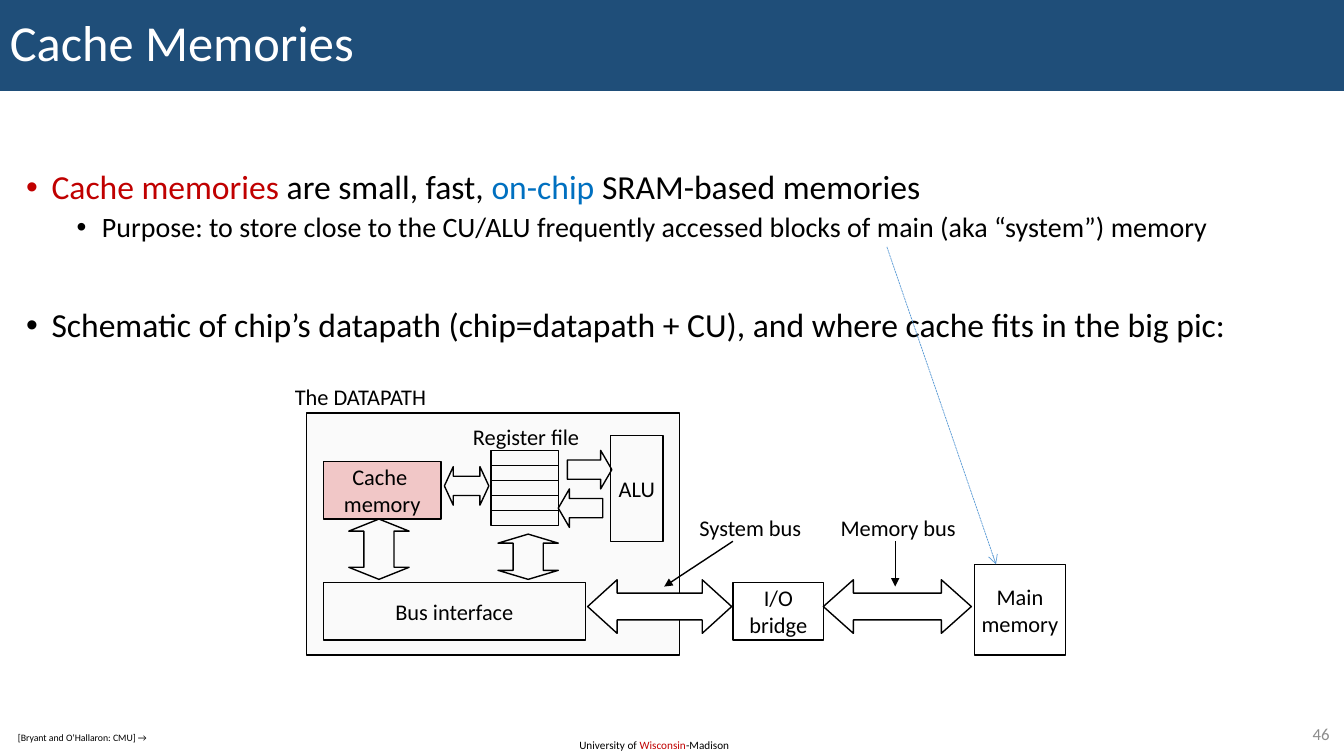
from lxml import etree
from pptx import Presentation
from pptx import util as u
from pptx.dml.color import RGBColor
from pptx.enum import dml, shapes, text
from pptx.oxml.ns import qn

G = shapes.MSO_SHAPE
BLACK, WHITE, RED = "000000", "FFFFFF", "C00000"
MID, TOP = text.MSO_ANCHOR.MIDDLE, text.MSO_ANCHOR.TOP
LEFT, CENTER, RIGHT = text.PP_ALIGN.LEFT, text.PP_ALIGN.CENTER, text.PP_ALIGN.RIGHT

TITLE = "Cache Memories"
BULLETS = [
    (0, 0, 24, [("Cache memories ", RED), ("are small, fast, ", BLACK),
                ("on-chip", "0070C0"), (" SRAM-based memories", BLACK)]),
    (1, 5, 20, [("Purpose: to store close to the CU/ALU frequently accessed blocks "
                 "of main (aka “system”) memory", BLACK)]),
    (0, 46, 24, [("Schematic of chip’s datapath (chip=datapath + CU), and where "
                  "cache fits in the big pic:", BLACK)]),
]
UNIVERSITY = [("University of ", BLACK), ("Wisconsin", RED), ("-Madison", BLACK)]
SOURCE = "[Bryant and O‘Hallaron: CMU] →"
PAGE = "46"

BOXES = [
    ((7.72, 10.41, 9.4, 6.1), "FAFAFA", []),
    ((24.56, 14.22, 2.29, 2.29), None, ["Main", "memory"]),
    ((18.47, 14.68, 2.29, 1.45), None, ["I/O", "bridge"]),
    ((8.15, 14.68, 6.6, 1.45), None, ["Bus interface"]),
    ((15.39, 10.97, 1.32, 2.67), None, ["ALU"]),
    ((8.15, 11.63, 2.97, 1.45), "F1C7C7", ["Cache ", "memory"]),
]
REGISTERS, REG_X, REG_Y, REG_W, REG_H = 5, 12.37, 11.35, 1.7, 0.38
ARROWS = [
    (G.LEFT_RIGHT_ARROW, (20.75, 14.61, 3.73, 1.35), 0.56, None, 0),
    (G.RIGHT_ARROW, (14.3, 11.35, 1.12, 0.97), 0.29, None, 0),
    (G.LEFT_ARROW, (14.07, 12.32, 1.12, 0.97), 0.29, None, 0),
    (G.LEFT_RIGHT_ARROW, (12.74, 13.27, 1.14, 1.52), 0.2, None, 90),
    (G.LEFT_RIGHT_ARROW, (8.79, 13.08, 1.52, 1.52), 0.2, None, 90),
    (G.LEFT_RIGHT_ARROW, (11.2, 11.76, 1.12, 0.97), 0.23, None, 0),
    (G.LEFT_RIGHT_ARROW, (14.81, 14.61, 3.63, 1.35), 0.55, WHITE, 0),
]
LABELS = [
    ("Register file", (11.61, 10.52, 3.3, 0.94)),
    ("The DATAPATH", (7.09, 9.53, 3.99, 0.94)),
    ("System bus", (17.32, 12.83, 3.18, 0.94)),
    ("Memory bus", (20.88, 12.83, 3.51, 0.94)),
]
POINTERS = [
    ((18.47, 13.64, 16.74, 14.78), BLACK, 1, None, "triangle"),
    ((22.56, 13.64, 22.56, 14.78), BLACK, 1, None, "triangle"),
    ((22.35, 6.22, 25.1, 14.22), "5B9BD5", 0.5, dml.MSO_LINE.SQUARE_DOT, "arrow"),
]

prs = Presentation()
prs.slide_width, prs.slide_height = u.Cm(33.87), u.Cm(19.05)
s = prs.slides.add_slide(prs.slide_layouts[6])


def cm(values):
    return [u.Cm(v) for v in values]


def rgb(value):
    return RGBColor.from_string(value)


def assign(obj, values):
    for name, value in values.items():
        setattr(obj, name, value)


def write(p, runs, size, **fmt):
    assign(p, fmt)
    for words, color in runs:
        r = p.add_run()
        r.text = words
        assign(r.font, {"name": "Calibri", "size": u.Pt(size)})
        r.font.color.rgb = rgb(color)


def fill_text(sp, lines, size, align=LEFT, anchor=MID, wrap=True, spacing=None):
    tf = sp.text_frame
    assign(tf, {"word_wrap": wrap, "vertical_anchor": anchor})
    for i, runs in enumerate(lines):
        p = tf.add_paragraph() if i else tf.paragraphs[0]
        write(p, runs, size, alignment=align, line_spacing=spacing)


def shape(kind, box, fill=None, line=BLACK):
    sp = s.shapes.add_shape(kind, *cm(box))
    sp.shadow.inherit = False
    if fill:
        sp.fill.solid()
        sp.fill.fore_color.rgb = rgb(fill)
    else:
        sp.fill.background()
    if line:
        sp.line.color.rgb = rgb(line)
        sp.line.width = u.Pt(1)
    else:
        sp.line.fill.background()
    return sp


def label(box, *args, **fmt):
    fill_text(s.shapes.add_textbox(*cm(box)), *args, **fmt)


def bullet(p, level):
    pPr = p._p.get_or_add_pPr()
    pPr.set("marL", str(u.Cm(0.64 + 1.27 * level)))
    pPr.set("indent", str(u.Cm(-0.64)))
    etree.SubElement(pPr, qn("a:buFont")).set("typeface", "Arial")
    etree.SubElement(pPr, qn("a:buChar")).set("char", "•")


def pointer(ends, color, width, dash, head):
    c = s.shapes.add_connector(shapes.MSO_CONNECTOR.STRAIGHT, *cm(ends))
    c.line.color.rgb = rgb(color)
    assign(c.line, {"width": u.Pt(width), "dash_style": dash})
    etree.SubElement(c.line._get_or_add_ln(), qn("a:tailEnd")).set("type", head)
    etree.SubElement(c._element.spPr, qn("a:effectLst"))


label((14.35, 18.49, 4.37, 0.61), [UNIVERSITY], 8, anchor=TOP)
fill_text(shape(G.RECTANGLE, (0, 0, 33.87, 2.29), "1F4E79", None), [[(TITLE, WHITE)]], 36,
          spacing=0.9)

tf = s.shapes.add_textbox(*cm((0.41, 4.17, 33.22, 13.69))).text_frame
tf.word_wrap = True
for i, (level, before, size, runs) in enumerate(BULLETS):
    p = tf.add_paragraph() if i else tf.paragraphs[0]
    bullet(p, level)
    write(p, runs, size, level=level, line_spacing=0.9, space_before=u.Pt(before))

label((31.83, 18.11, 1.93, 0.74), [[(PAGE, "8C8C8C")]], 12, align=RIGHT)

for box, fill, lines in BOXES:
    fill_text(shape(G.RECTANGLE, box, fill), [[(t, BLACK)] for t in lines], 16,
              align=CENTER, wrap=False)
for i in range(REGISTERS):
    shape(G.RECTANGLE, (REG_X, REG_Y + i * REG_H, REG_W, REG_H))
for kind, box, head, fill, turn in ARROWS:
    sp = shape(kind, box, fill)
    sp.adjustments[0], sp.adjustments[1] = 0.5, head
    sp.rotation = turn
for words, box in LABELS:
    label(box, [[(words, BLACK)]], 16, align=CENTER, wrap=False)

fill_text(shape(G.RECTANGLE, (0.2, 18.31, 3.81, 0.56), WHITE, None), [[(SOURCE, BLACK)]], 7,
          anchor=TOP)
for args in POINTERS:
    pointer(*args)

prs.save("out.pptx")
